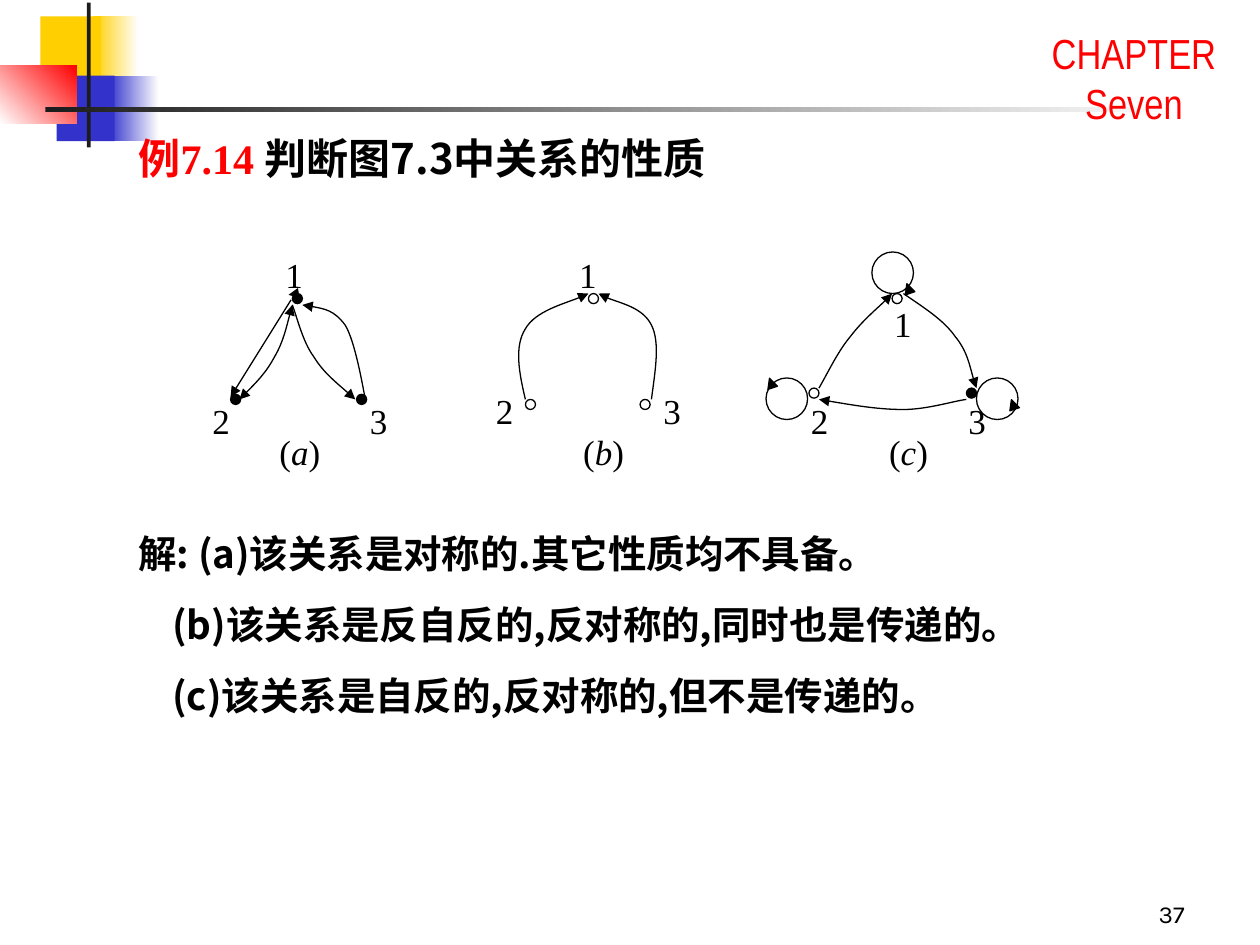
from lxml import etree
from pptx import Presentation
from pptx.dml.color import RGBColor
from pptx.enum import shapes, text
from pptx.oxml import ns
from pptx.util import Inches, Pt

BLACK = RGBColor(0, 0, 0)
WHITE = RGBColor(255, 255, 255)
RED = RGBColor(255, 0, 0)
YELLOW = RGBColor(0xFF, 0xCF, 0x01)
BLUE = RGBColor(0x33, 0x33, 0xCC)
CHARCOAL = RGBColor(0x1C, 0x1C, 0x1C)
CJK, ROMAN = "Noto Sans CJK SC", "Times New Roman"
NODE, LOOP = 0.08, 0.33

DECOR = [
    ((0.74, 0.13, 0.36, 0.52), (YELLOW, WHITE), 0),
    ((0.86, 0.6, 0.4, 0.52), (BLUE, WHITE), 0),
    ((0.32, 0.13, 0.48, 0.52), (YELLOW,), 0),
    ((0.45, 0.6, 0.46, 0.52), (BLUE,), 0),
    ((0, 0.52, 0.61, 0.46), (WHITE, RED), 45),
    ((0.69, 0.02, 0.03, 1.15), (CHARCOAL,), 0),
    ((0.36, 0.85, 9, 0.04), (CHARCOAL, WHITE), 0),
]
TITLE = [("例", CJK, RED), ("7.14 ", ROMAN, RED), ("判断图7.3中关系的性质", CJK, BLACK)]
ANSWERS = [
    (0, "解: (a)该关系是对称的.其它性质均不具备。"),
    (0.27, "(b)该关系是反自反的,反对称的,同时也是传递的。"),
    (0.27, "(c)该关系是自反的,反对称的,但不是传递的。"),
]
GRAPHS = [
    {
        "name": ("a", 1.92),
        "labels": [("1", 2.25, 2.01), ("2", 1.67, 3.17), ("3", 2.92, 3.17)],
        "filled": [(2.32, 2.33), (1.83, 3.13), (2.83, 3.13)],
        "straight": [("head", (2.29, 2.34), (2.35, 2.33)),
                     ("tail", (2.31, 2.38), (1.83, 3.15))],
        "curves": [
            ("both", [(1.9, 3.17), (2.01, 3.06), (2.11, 2.96), (2.18, 2.83),
                      (2.25, 2.71), (2.3, 2.49), (2.32, 2.42)]),
            ("head", [(2.82, 3.17), (2.7, 3.06), (2.57, 2.96), (2.49, 2.83),
                      (2.4, 2.71), (2.35, 2.49), (2.32, 2.42)]),
            ("head", [(2.4, 2.42), (2.53, 2.44), (2.65, 2.46), (2.74, 2.58),
                      (2.82, 2.71), (2.88, 3.07), (2.9, 3.17)]),
        ],
    },
    {
        "name": ("b", 4.33),
        "labels": [("1", 4.58, 2.01), ("2", 3.92, 3.09), ("3", 5.25, 3.09)],
        "hollow": [(4.67, 2.33), (4.17, 3.17), (5.08, 3.17)],
        "curves": [
            ("tail", [(4.17, 3.17), (4.12, 2.96), (4.08, 2.75), (4.17, 2.61),
                      (4.25, 2.47), (4.58, 2.38), (4.67, 2.33)]),
            ("tail", [(5.17, 3.17), (5.2, 2.94), (5.24, 2.72), (5.17, 2.58),
                      (5.1, 2.44), (4.82, 2.38), (4.75, 2.33)]),
        ],
    },
    {
        "name": ("c", 6.75),
        "labels": [("1", 7.08, 2.4), ("2", 6.42, 3.17), ("3", 7.67, 3.17)],
        "filled": [(7.67, 3.08)],
        "hollow": [(7.08, 2.33), (6.42, 3.08)],
        "loops": [(6.92, 2), (6.08, 3), (7.75, 3)],
        "tips": [(7.17, 2.25), (6.08, 3), (8, 3.17)],
        "curves": [
            ("tail", [(6.5, 3.08), (6.58, 2.94), (6.65, 2.79), (6.75, 2.67),
                      (6.85, 2.54), (7.03, 2.39), (7.08, 2.33)]),
            ("head", [(6.5, 3.17), (6.74, 3.21), (6.97, 3.25), (7.17, 3.25),
                      (7.36, 3.25), (7.58, 3.18), (7.67, 3.17)]),
            ("tail", [(7.17, 2.33), (7.33, 2.44), (7.49, 2.54), (7.58, 2.67),
                      (7.68, 2.79), (7.72, 3.01), (7.75, 3.08)]),
        ],
    },
]


def add_run(p, words, font, size, color=BLACK, bold=False, italic=False):
    r = p.add_run()
    r.text = words
    f = r.font
    f.name, f.size, f.bold, f.italic = font, Pt(size), bold, italic
    f.color.rgb = color
    ea = etree.SubElement(r.font._element, ns.qn("a:ea"))
    ea.set("typeface", font)


def set_frame(sp, anchor, margins=(0.1, 0.05)):
    tf = sp.text_frame
    tf.word_wrap, tf.vertical_anchor = True, anchor
    tf.auto_size = text.MSO_AUTO_SIZE.NONE
    tf.margin_left = tf.margin_right = Inches(margins[0])
    tf.margin_top = tf.margin_bottom = Inches(margins[1])
    return tf


def add_text(s, box, runs, align, anchor=text.MSO_ANCHOR.TOP, margins=(0.1, 0.05)):
    sp = s.shapes.add_textbox(*map(Inches, box))
    p = set_frame(sp, anchor, margins).paragraphs[0]
    p.alignment = align
    for run in runs:
        add_run(p, *run)


def add_label(s, box, runs):
    add_text(s, box, runs, text.PP_ALIGN.CENTER, text.MSO_ANCHOR.MIDDLE, (0, 0))


def set_line(sp, arrows=None):
    sp.line.color.rgb = BLACK
    sp.line.width = Pt(0.75)
    ln = sp.line._get_or_add_ln()
    for end in ("head", "tail"):
        if arrows in (end, "both"):
            etree.SubElement(ln, ns.qn(f"a:{end}End")).set("type", "triangle")


def add_mark(s, kind, at, size, fill=None, rotation=0):
    sp = s.shapes.add_shape(kind, *map(Inches, (*at, size, size)))
    sp.shadow.inherit = False
    sp.rotation = rotation
    if fill is None:
        sp.fill.background()
    else:
        sp.fill.solid()
        sp.fill.fore_color.rgb = fill
    set_line(sp)


def add_curve(s, arrows, points):
    start, *rest = [(Inches(x), Inches(y)) for x, y in points]
    builder = s.shapes.build_freeform(*start)
    builder.add_line_segments(rest, close=False)
    sp = builder.convert_to_shape()
    segments = list(sp.element.iter(ns.qn("a:lnTo")))
    outline = segments[0].getparent()
    for i in range(0, len(segments), 3):
        bezier = etree.SubElement(outline, ns.qn("a:cubicBezTo"))
        for segment in segments[i:i + 3]:
            bezier.append(segment[0])
            outline.remove(segment)
    sp.shadow.inherit = False
    sp.fill.background()
    set_line(sp, arrows)


def add_straight(s, arrows, start, end):
    line = s.shapes.add_connector(shapes.MSO_CONNECTOR.STRAIGHT, *map(Inches, (*start, *end)))
    set_line(line, arrows)
    etree.SubElement(line.element.spPr, ns.qn("a:effectLst"))


def add_decor(s, box, colors, angle):
    sp = s.shapes.add_shape(shapes.MSO_SHAPE.RECTANGLE, *map(Inches, box))
    sp.shadow.inherit = False
    sp.line.fill.background()
    if len(colors) == 1:
        sp.fill.solid()
        sp.fill.fore_color.rgb = colors[0]
    else:
        sp.fill.gradient()
        sp.fill.gradient_angle = angle
        for stop, color in zip(sp.fill.gradient_stops, colors):
            stop.color.rgb = color


def add_graph(s, graph):
    oval, triangle = shapes.MSO_SHAPE.OVAL, shapes.MSO_SHAPE.ISOSCELES_TRIANGLE
    letter, left = graph["name"]
    add_label(s, (left, 3.42, 0.92, 0.33), [
        ("(", ROMAN, 20), (letter, ROMAN, 20, BLACK, False, True), (")", ROMAN, 20)])
    for key, kind, size, fill, rotation in [
            ("filled", oval, NODE, BLACK, 0), ("hollow", oval, NODE, None, 0),
            ("loops", oval, LOOP, None, 0), ("tips", triangle, NODE, BLACK, 341.4)]:
        for at in graph.get(key, []):
            add_mark(s, kind, at, size, fill, rotation)
    for edge in graph.get("straight", []):
        add_straight(s, *edge)
    for edge in graph["curves"]:
        add_curve(s, *edge)
    for digit, x, y in graph["labels"]:
        add_label(s, (x, y, 0.17, 0.33), [(digit, ROMAN, 20)])


def main():
    prs = Presentation()
    prs.slide_width, prs.slide_height = Inches(10), Inches(7.5)
    s = prs.slides.add_slide(prs.slide_layouts[5])
    for item in DECOR:
        add_decor(s, *item)
    add_text(s, (8, 0.17, 2, 0.9), [("CHAPTER Seven", "Arial Narrow", 24, RED)],
             text.PP_ALIGN.CENTER)
    title = s.shapes.title
    s.shapes.element.append(title.element)
    title.left, title.top, title.width, title.height = map(Inches, (1, 1, 7.92, 0.6))
    p = set_frame(title, text.MSO_ANCHOR.TOP).paragraphs[0]
    p.alignment = text.PP_ALIGN.LEFT
    for words, font, color in TITLE:
        add_run(p, words, font, 24, color, True)
    for graph in GRAPHS:
        add_graph(s, graph)
    answers = s.shapes.add_textbox(*map(Inches, (1, 4.15, 7.92, 1.6)))
    tf = set_frame(answers, text.MSO_ANCHOR.TOP)
    for i, (indent, words) in enumerate(ANSWERS):
        p = tf.add_paragraph() if i else tf.paragraphs[0]
        p.alignment = text.PP_ALIGN.JUSTIFY
        p.line_spacing = Pt(26.8)
        p.space_before = Pt(13.8 if i else 0)
        p._p.get_or_add_pPr().set("marL", str(Inches(indent)))
        add_run(p, words, CJK, 22, BLACK, True)
    add_text(s, (7.42, 6.92, 2.08, 0.5), [("37", "Karla", 14)],
             text.PP_ALIGN.RIGHT, text.MSO_ANCHOR.BOTTOM)
    prs.save("out.pptx")


if __name__ == "__main__":
    main()
